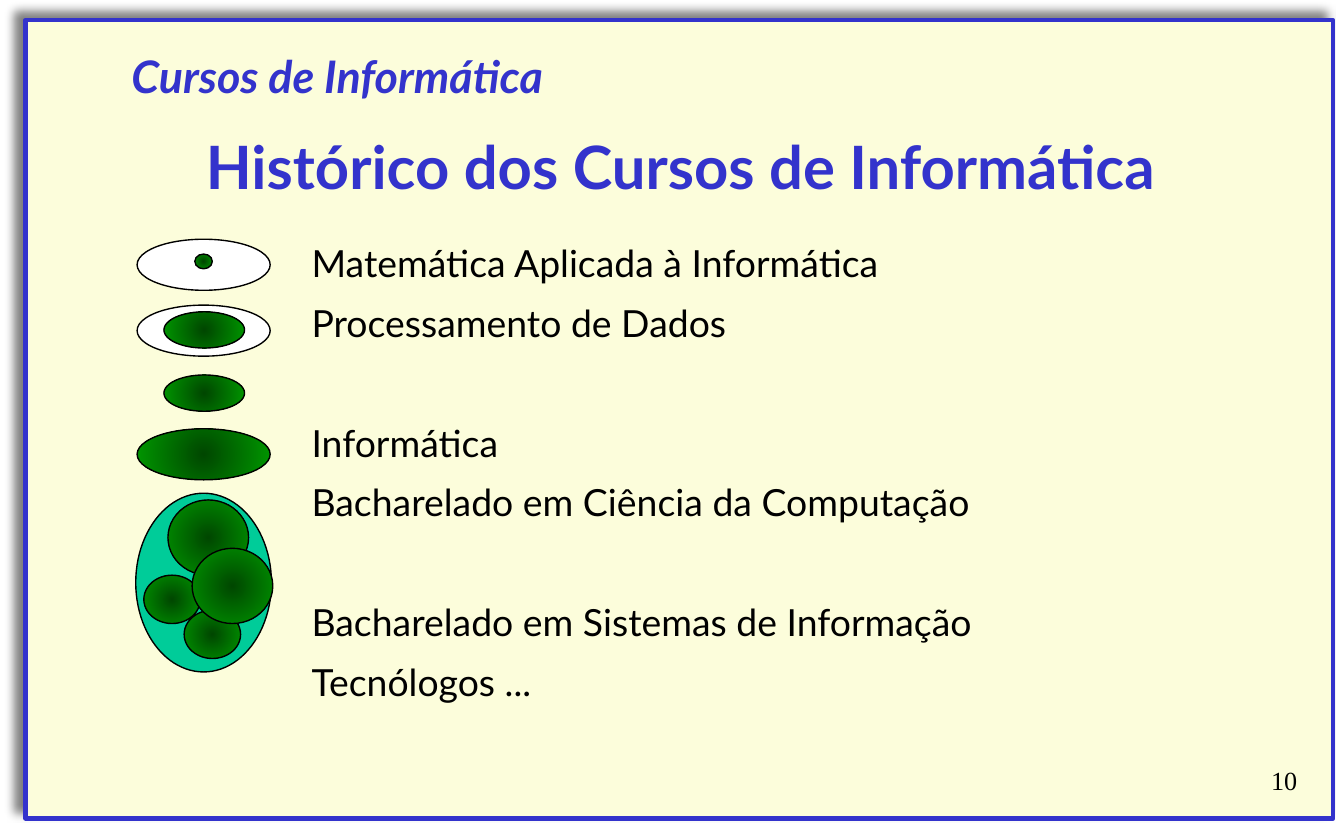
from dataclasses import dataclass
from pptx import Presentation
from pptx.dml.color import RGBColor as Rgb
from pptx.enum.shapes import MSO_SHAPE as Shape
from pptx.enum.text import PP_ALIGN as Align
from pptx.oxml import parse_xml as to_xml
from pptx.oxml.ns import nsdecls, qn
from pptx.util import Inches, Pt


@dataclass(frozen=True)
class Theme:
    blue: str = "3333CC"
    cream: str = "FCFDDB"
    black: str = "000000"
    white: str = "FFFFFF"
    teal: str = "00CC99"
    dark: str = "004700"
    green: str = "009900"
    gray: str = "808080"
    font: str = "Lato"
    serif: str = "Times New Roman"
    head: int = 24
    title: int = 32
    body: int = 20
    page: int = 14
    thin: float = 0.75
    thick: float = 2.25
    gap: int = 8
    skip: int = 40


def put_text(para, text, font, size, color, bold=False, slant=False, align=None, before=None):
    para.alignment = align
    if before is not None:
        para.space_before = Pt(before)
    run = para.add_run()
    run.text = text
    face = run.font
    face.name, face.size = font, Pt(size)
    face.bold, face.italic = bold, slant
    face.color.rgb = Rgb.from_string(color)


class Board:
    def __init__(self, theme, slide):
        self.theme = theme
        self.slide = slide

    def shape(self, kind, box, fill, line, width, group=None):
        home = group.shapes if group else self.slide.shapes
        item = home.add_shape(kind, *map(Inches, box))
        item.shadow.inherit = False
        if fill:
            item.fill.solid()
            item.fill.fore_color.rgb = Rgb.from_string(fill)
        else:
            self.glow(item)
        item.line.color.rgb = Rgb.from_string(line)
        item.line.width = Pt(width)
        return item

    def glow(self, item):
        item.fill.gradient()
        tones = self.theme.dark, self.theme.green
        for stop, tone in zip(item.fill.gradient_stops, tones):
            stop.color.rgb = Rgb.from_string(tone)
        grad = item.element.spPr.find(qn("a:gradFill"))
        grad.replace(grad.find(qn("a:lin")), to_xml(
            f'<a:path {nsdecls("a")} path="circle">'
            '<a:fillToRect l="50000" t="50000" r="50000" b="50000"/></a:path>'))

    def frame(self, box):
        look = self.theme
        item = self.shape(Shape.RECTANGLE, box, look.cream, look.blue, look.thick)
        item.element.spPr.find(qn("a:effectLst")).append(to_xml(
            f'<a:outerShdw {nsdecls("a")} blurRad="{Pt(5)}" dist="{Pt(6.4)}" '
            f'dir="{219 * 60000}" algn="ctr" rotWithShape="0">'
            f'<a:srgbClr val="{look.gray}"/></a:outerShdw>'))

    def oval(self, box, fill=None, group=None):
        look = self.theme
        self.shape(Shape.OVAL, box, fill, look.black, look.thin, group)

    def text(self, box, lines, **form):
        frame = self.slide.shapes.add_textbox(*map(Inches, box)).text_frame
        frame.word_wrap = True
        for i, (line, before) in enumerate(lines):
            para = frame.add_paragraph() if i else frame.paragraphs[0]
            put_text(para, line, before=before, **form)


def main():
    deck = Presentation()
    deck.slide_width, deck.slide_height = Inches(10), Inches(6.25)
    look = Theme()
    board = Board(look, deck.slides.add_slide(deck.slide_layouts[6]))

    board.frame((0.19, 0.15, 9.73, 5.94))
    board.text((7.67, 5.64, 2.08, 0.42), [("10", None)], font=look.serif,
               size=look.page, color=look.black, align=Align.RIGHT)
    board.text((0.88, 0.31, 8.41, 0.42), [("Cursos de Informática", None)], font=look.font,
               size=look.head, color=look.blue, bold=True, slant=True)
    board.text((0.86, 0.92, 8.41, 0.53), [("Histórico dos Cursos de Informática", None)],
               font=look.font, size=look.title, color=look.blue, bold=True, align=Align.CENTER)

    courses = [
        ("Matemática Aplicada à Informática", look.gap),
        ("Processamento de Dados", look.gap),
        ("Informática", look.skip),
        ("Bacharelado em Ciência da Computação", look.gap),
        ("Bacharelado em Sistemas de Informação", look.skip),
        ("Tecnólogos ...", look.gap),
    ]
    board.text((2.22, 1.74, 5.27, 3.79), courses, font=look.font,
               size=look.body, color=look.black)

    wide, core = (0.99, 0.38), (0.6, 0.27)
    board.oval((1.02, 1.78, *wide), look.white)
    board.oval((1.45, 1.89, 0.13, 0.11))
    board.oval((1.02, 2.27, *wide), look.white)
    for top in (2.32, 2.79):
        board.oval((1.22, top, *core))
    board.oval((1.02, 3.19, *wide))

    group = board.slide.shapes.add_group_shape()
    board.oval((1.01, 3.67, 1.01, 1.33), look.teal, group)
    big, small = (0.6, 0.56), (0.42, 0.36)
    cells = [(1.25, 3.72, big), (1.37, 4.54, small), (1.07, 4.28, small), (1.43, 4.08, big)]
    for left, top, size in cells:
        board.oval((left, top, *size), group=group)

    deck.save("out.pptx")


if __name__ == "__main__":
    main()
